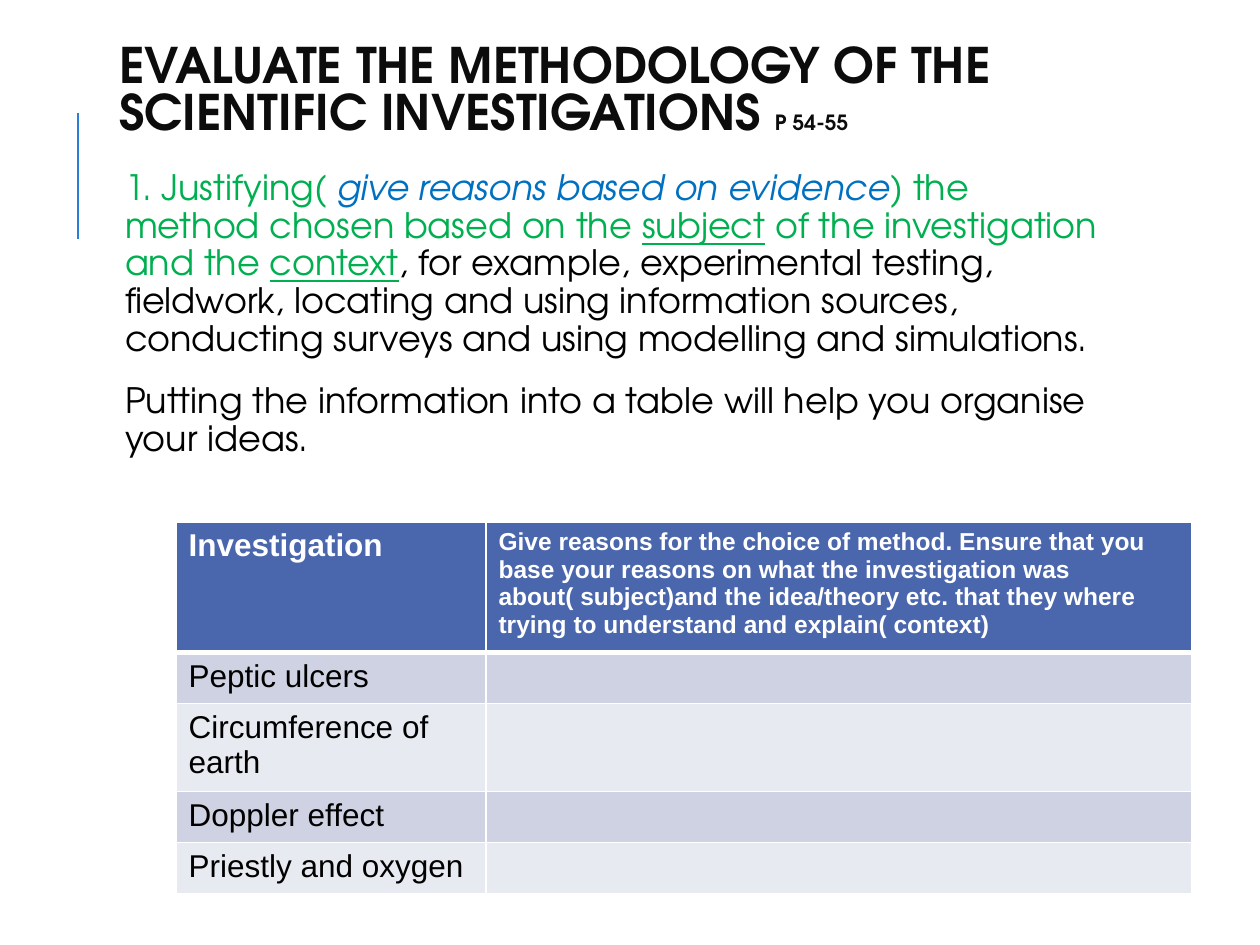
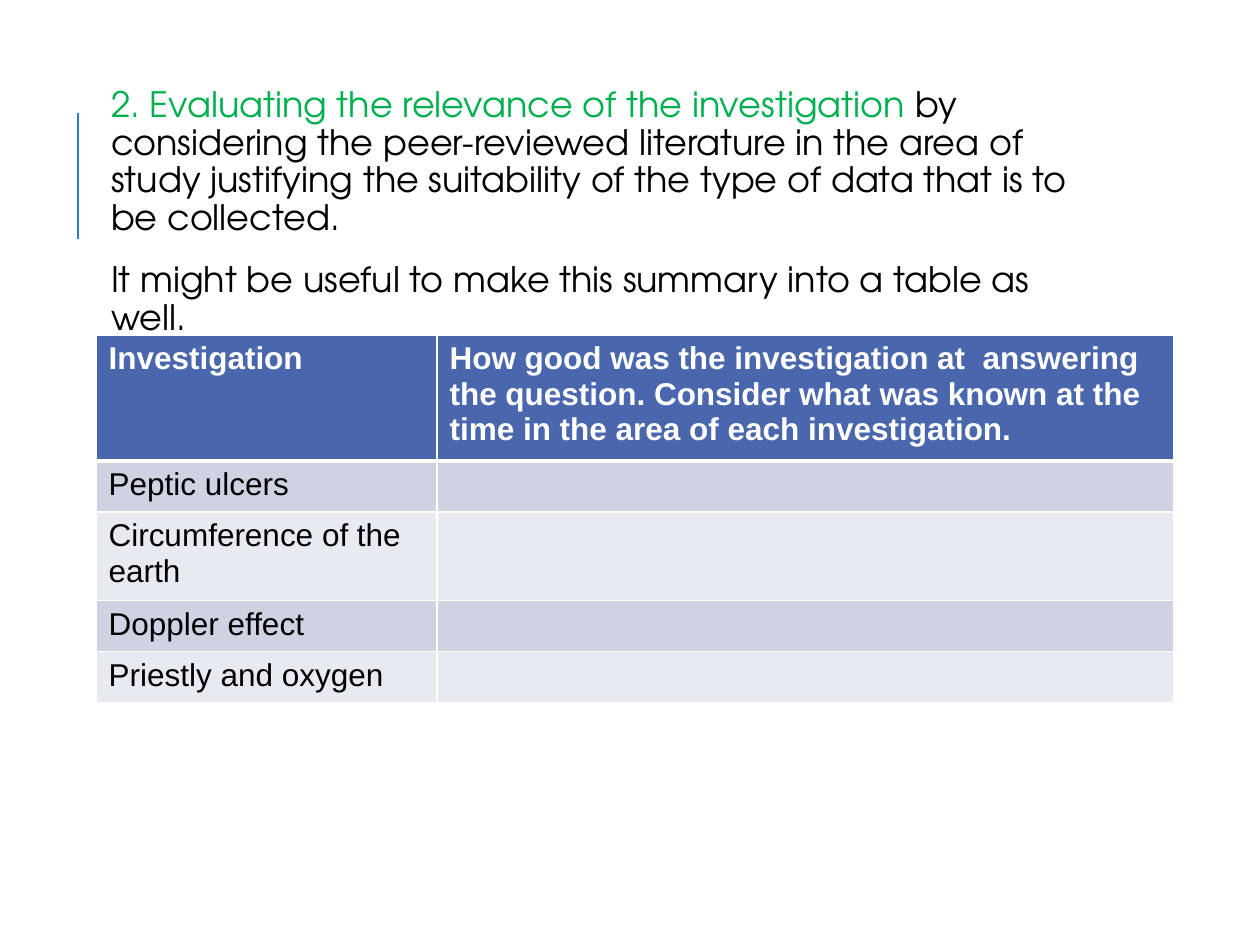
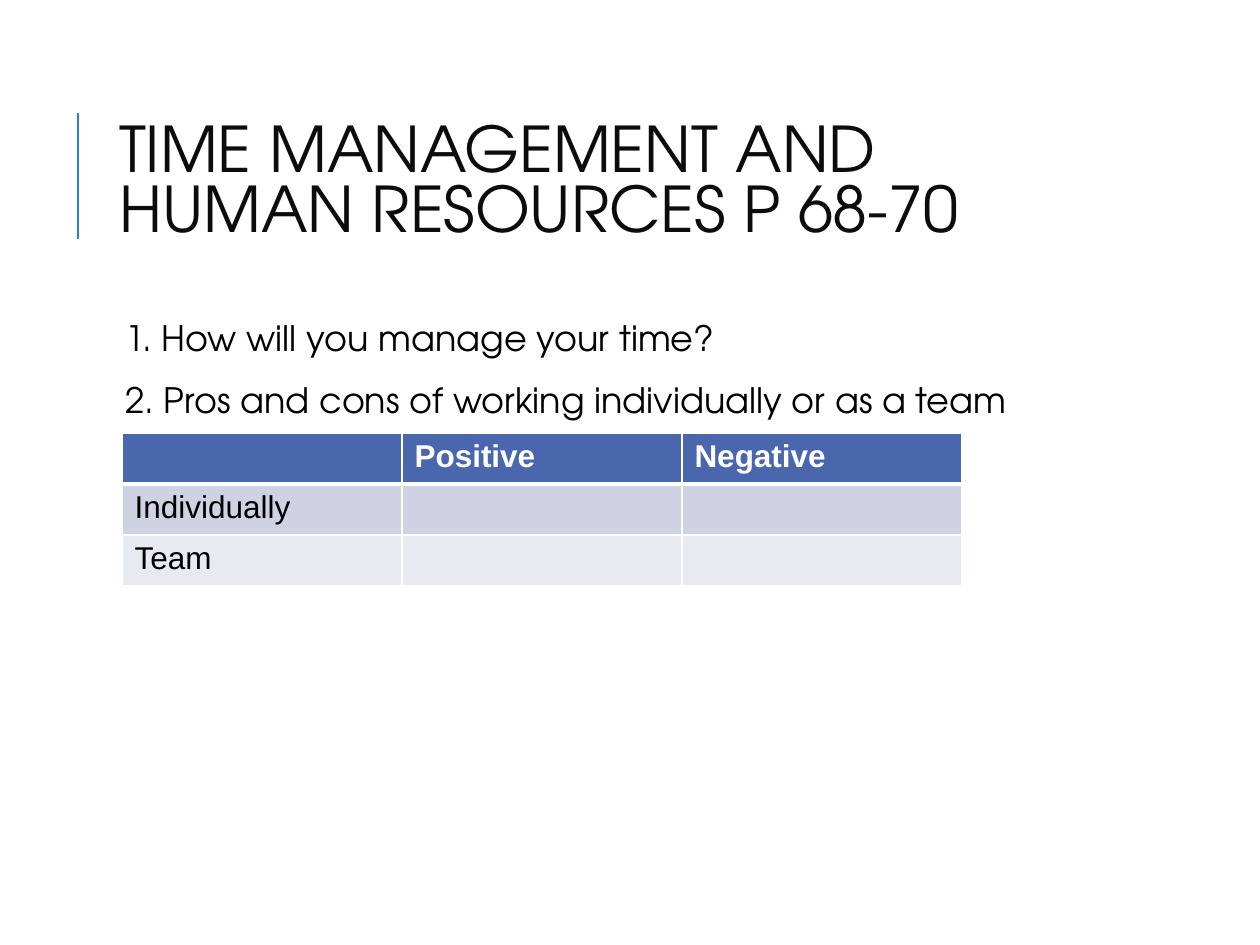
from lxml import etree
from pptx import Presentation
from pptx.dml.color import RGBColor
from pptx.enum.shapes import MSO_CONNECTOR
from pptx.enum.text import MSO_ANCHOR
from pptx.oxml.ns import qn
from pptx.util import Emu, Pt

STRAIGHT = MSO_CONNECTOR.STRAIGHT
MIDDLE, TOP = MSO_ANCHOR.MIDDLE, MSO_ANCHOR.TOP

ACCENT = RGBColor(0x29, 0x7F, 0xD5)
INK = RGBColor(0x0C, 0x0C, 0x0C)
BLACK = RGBColor(0, 0, 0)
WHITE = RGBColor(0xFF, 0xFF, 0xFF)
GREEN = RGBColor(0x00, 0xB0, 0x50)
BLUE = RGBColor(0x00, 0x70, 0xC0)
HEADER = RGBColor(0x4A, 0x66, 0xAC)
BANDS = [RGBColor(0xCE, 0xD2, 0xE2), RGBColor(0xE8, 0xEA, 0xF1)]

HEAD_FONT, TABLE_FONT = "TeX Gyre Adventor", "Arial"
TEXT_W, ROW_H = 1004, 51

# Title runs: (text, size). Body runs: (text, colour, style).
# Boxes: (left, top, height). Header cells: (text, size).
SLIDES = [
    {
        "title": {
            "box": (106, 51, 83), "bold": True,
            "runs": [("EVALUATE THE METHODOLOGY OF THE SCIENTIFIC INVESTIGATIONS ", 28),
                     ("P 54-55", 12)],
        },
        "body": {
            "box": (106, 164, 719),
            "paragraphs": [
                [("1. Justifying( ", GREEN, ""),
                 ("give reasons based on evidence", BLUE, "italic"),
                 (") the method chosen based on the ", GREEN, ""),
                 ("subject", GREEN, "underline"),
                 (" of the investigation and the ", GREEN, ""),
                 ("context", GREEN, "underline"),
                 (", for example, experimental testing, fieldwork, locating and using "
                  "information sources, conducting surveys and using modelling and "
                  "simulations.", BLACK, "")],
                [("Putting the information into a table will help you organise "
                  "your ideas.", BLACK, "")],
            ],
        },
        "table": {
            "at": (176, 522), "cols": [310, 706],
            "header": [("Investigation", 18),
                       ("Give reasons for the choice of method. Ensure that you base your "
                        "reasons on what the investigation was about( subject)and the "
                        "idea/theory etc. that they where trying to understand and "
                        "explain( context)", 14)],
            "labels": ["Peptic ulcers", "Circumference of earth", "Doppler effect",
                       "Priestly and oxygen"],
        },
    },
    {
        "body": {
            "box": (92, 81, 554),
            "paragraphs": [
                [("2. Evaluating the relevance of the investigation ", GREEN, ""),
                 ("by considering the peer-reviewed literature in the area of study "
                  "justifying the suitability of the type of data that is to be "
                  "collected.", BLACK, "")],
                [("It might be useful to make this summary into a table as well.",
                  BLACK, "")],
            ],
        },
        "table": {
            "at": (96, 335), "cols": [341, 737],
            "header": [("Investigation", 18),
                       ("How good was the investigation at  answering the question. "
                        "Consider what was known at the time in the area of each "
                        "investigation.", 18)],
            "labels": ["Peptic ulcers", "Circumference of the earth", "Doppler effect",
                       "Priestly and oxygen"],
        },
    },
    {
        "title": {
            "box": (106, 81, 207), "bold": False,
            "runs": [("TIME MANAGEMENT AND HUMAN RESOURCES P 68-70", 36)],
        },
        "body": {
            "box": (106, 315, 554),
            "paragraphs": [
                [("1. How will you manage your time?", BLACK, "")],
                [("2. Pros and cons of working individually or as a team", BLACK, "")],
            ],
        },
        "table": {
            "at": (122, 433), "cols": [280, 280, 280],
            "header": [("", 18), ("Positive", 18), ("Negative", 18)],
            "labels": ["Individually", "Team"],
        },
    },
]


def px(n):
    return Emu(round(n * 914400 / 126))


def add_accent_line(s):
    line = s.shapes.add_connector(STRAIGHT, px(78), px(239), px(78), px(113))
    line.line.color.rgb = ACCENT
    line.line.width = Pt(1.5)
    etree.SubElement(line._element.spPr, qn("a:effectLst"))


def add_text_frame(s, box, anchor, inset_x):
    left, top, height = box
    tf = s.shapes.add_textbox(px(left), px(top), px(TEXT_W), px(height)).text_frame
    tf.word_wrap = True
    tf.vertical_anchor = anchor
    tf.margin_left, tf.margin_right = px(inset_x), px(6)
    tf.margin_top = tf.margin_bottom = px(6)
    return tf


def add_title(s, title):
    p = add_text_frame(s, title["box"], MIDDLE, 13).paragraphs[0]
    p.line_spacing = 0.8
    p.font.name, p.font.bold = HEAD_FONT, title["bold"]
    p.font.color.rgb = INK
    for text, size in title["runs"]:
        r = p.add_run()
        r.text, r.font.size = text, Pt(size)


def add_body(s, body):
    tf = add_text_frame(s, body["box"], TOP, 19)
    for i, runs in enumerate(body["paragraphs"]):
        p = tf.add_paragraph() if i else tf.paragraphs[0]
        p.line_spacing = 0.9
        p.space_before = Pt(14 if i else 0)
        p.font.name, p.font.size = HEAD_FONT, Pt(20)
        for text, color, style in runs:
            r = p.add_run()
            r.text, r.font.color.rgb = text, color
            if style:
                setattr(r.font, style, True)


def set_borders(cell, row):
    """White rules, with a heavier one under the header row."""
    widths = {"L": 1, "R": 1, "T": 3 if row == 1 else 1, "B": 3 if row == 0 else 1}
    tc_pr = cell._tc.get_or_add_tcPr()
    for side, width in widths.items():
        ln = etree.SubElement(tc_pr, qn("a:ln" + side), w=str(Pt(width)))
        fill = etree.SubElement(ln, qn("a:solidFill"))
        etree.SubElement(fill, qn("a:srgbClr"), val=str(WHITE))


def add_table(s, spec):
    cols = spec["cols"]
    blanks = [("", 18)] * (len(cols) - 1)
    rows = [spec["header"]] + [[(label, 18)] + blanks for label in spec["labels"]]
    left, top = spec["at"]
    table = s.shapes.add_table(len(rows), len(cols), px(left), px(top),
                               px(sum(cols)), px(ROW_H * len(rows))).table
    for col, width in zip(table.columns, cols):
        col.width = px(width)
    for i, row in enumerate(rows):
        table.rows[i].height = px(ROW_H)
        for j, (text, size) in enumerate(row):
            cell = table.cell(i, j)
            set_borders(cell, i)
            cell.fill.solid()
            cell.fill.fore_color.rgb = BANDS[(i - 1) % 2] if i else HEADER
            cell.text = text
            font = cell.text_frame.paragraphs[0].font
            font.name, font.size, font.bold = TABLE_FONT, Pt(size), i == 0
            font.color.rgb = BLACK if i else WHITE


def main():
    prs = Presentation()
    prs.slide_width, prs.slide_height = px(1260), px(945)
    for content in SLIDES:
        s = prs.slides.add_slide(prs.slide_layouts[6])
        add_accent_line(s)
        if "title" in content:
            add_title(s, content["title"])
        add_body(s, content["body"])
        add_table(s, content["table"])
    prs.save("out.pptx")


if __name__ == "__main__":
    main()
